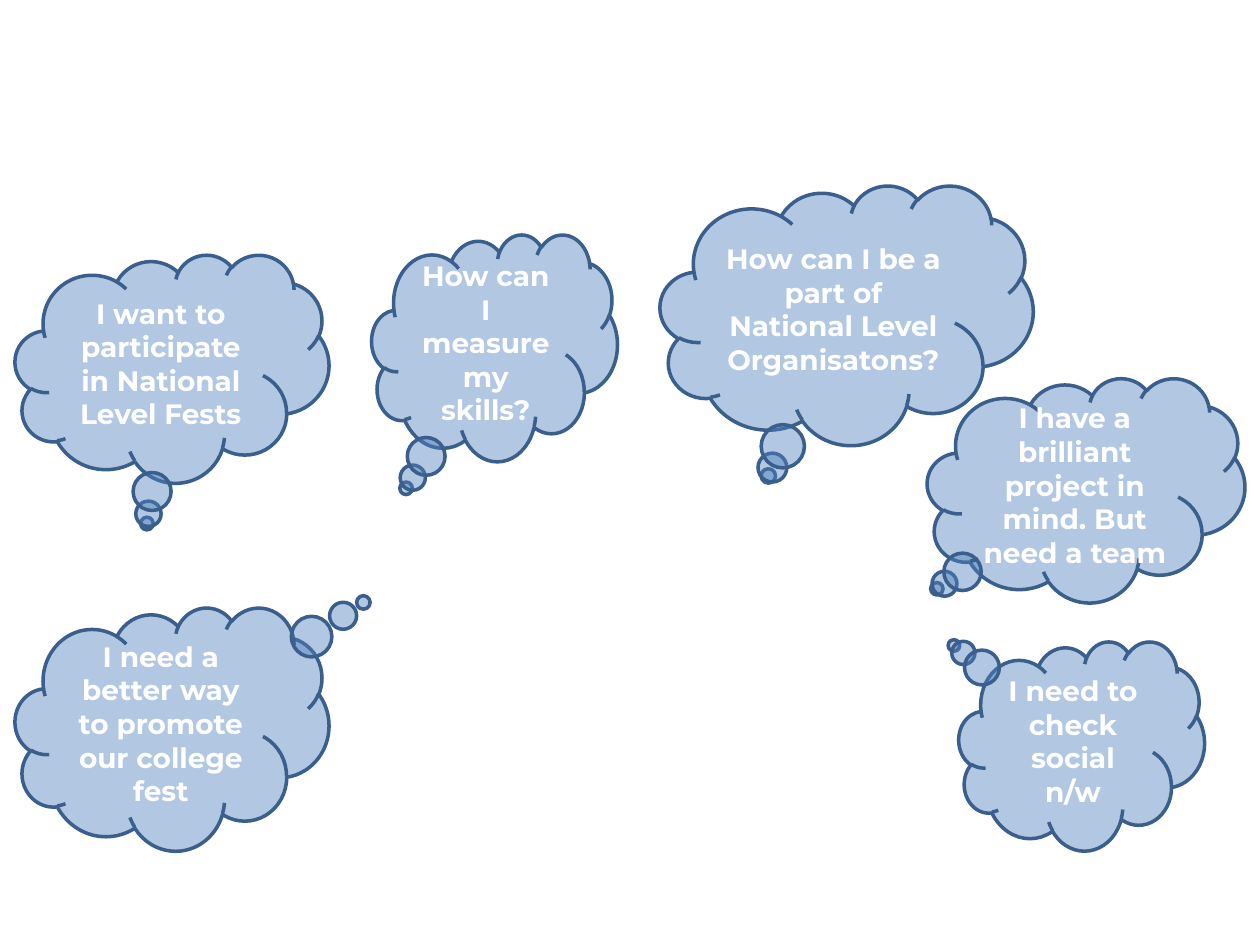
import pptx
import pptx.util
import pptx.dml.color
import pptx.enum.shapes
import pptx.enum.text
import pptx.oxml.ns
import lxml.etree

BLUE = pptx.dml.color.RGBColor(0x4F, 0x81, 0xBD)
NAVY = pptx.dml.color.RGBColor(0x3A, 0x5F, 0x8C)
WHITE = pptx.dml.color.RGBColor(0xFF, 0xFF, 0xFF)
OPAQUE = 44  # percent

deck = pptx.Presentation()
deck.slide_width = pptx.util.Inches(10)
deck.slide_height = pptx.util.Inches(7.5)
slide = deck.slides.add_slide(deck.slide_layouts[6])

# One percent of the slide's width and height
col = deck.slide_width / 100
row = deck.slide_height / 100

# Left, top, width, height in percent; tail offset from the cloud's centre; text
clouds = [
    (52.4, 19.6, 29.6, 27.47, (-0.21, 0.62),
     "How can I be a part of National Level Organisatons?"),
    (1.2, 26.93, 24.9, 24.13, (-0.08, 0.68),
     "I want to participate in National Level Fests"),
    (29.5, 24.8, 19.5, 24, (-0.36, 0.62),
     "How can I measure my skills?"),
    (73.6, 40, 25.2, 23.73, (-0.47, 0.44),
     "I have a brilliant project in mind. But need a team"),
    (1.2, 64.27, 24.9, 25.73, (0.61, -0.52),
     "I need a better way to promote our college fest"),
    (76.1, 67.87, 19.5, 22.13, (-0.52, -0.48),
     "I need to check social n/w"),
]

for left, top, width, height, tail, text in clouds:
    cloud = slide.shapes.add_shape(
        pptx.enum.shapes.MSO_SHAPE.CLOUD_CALLOUT,
        round(left * col), round(top * row),
        round(width * col), round(height * row))
    cloud.adjustments[0], cloud.adjustments[1] = tail
    cloud.shadow.inherit = False
    cloud.fill.solid()
    cloud.fill.fore_color.rgb = BLUE
    tint = cloud.fill._xPr.find(".//" + pptx.oxml.ns.qn("a:srgbClr"))
    alpha = lxml.etree.SubElement(tint, pptx.oxml.ns.qn("a:alpha"))
    alpha.set("val", str(OPAQUE * 1000))
    cloud.line.color.rgb = NAVY
    cloud.line.width = pptx.util.Pt(2)

    frame = cloud.text_frame
    frame.word_wrap = True
    frame.vertical_anchor = pptx.enum.text.MSO_ANCHOR.MIDDLE
    frame.text = text
    para = frame.paragraphs[0]
    para.alignment = pptx.enum.text.PP_ALIGN.CENTER
    font = para.runs[0].font
    font.name = "Montserrat"
    font.size = pptx.util.Pt(16)
    font.bold = True
    font.color.rgb = WHITE

deck.save("out.pptx")
